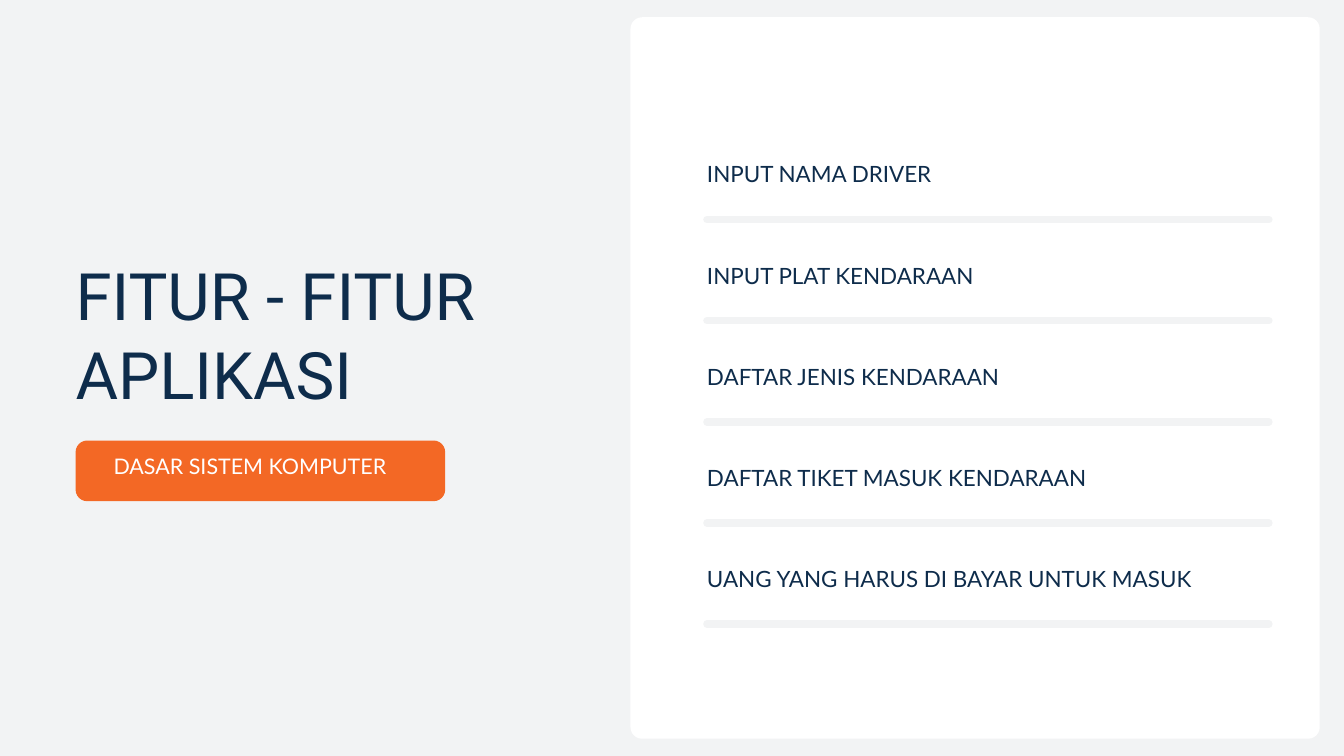
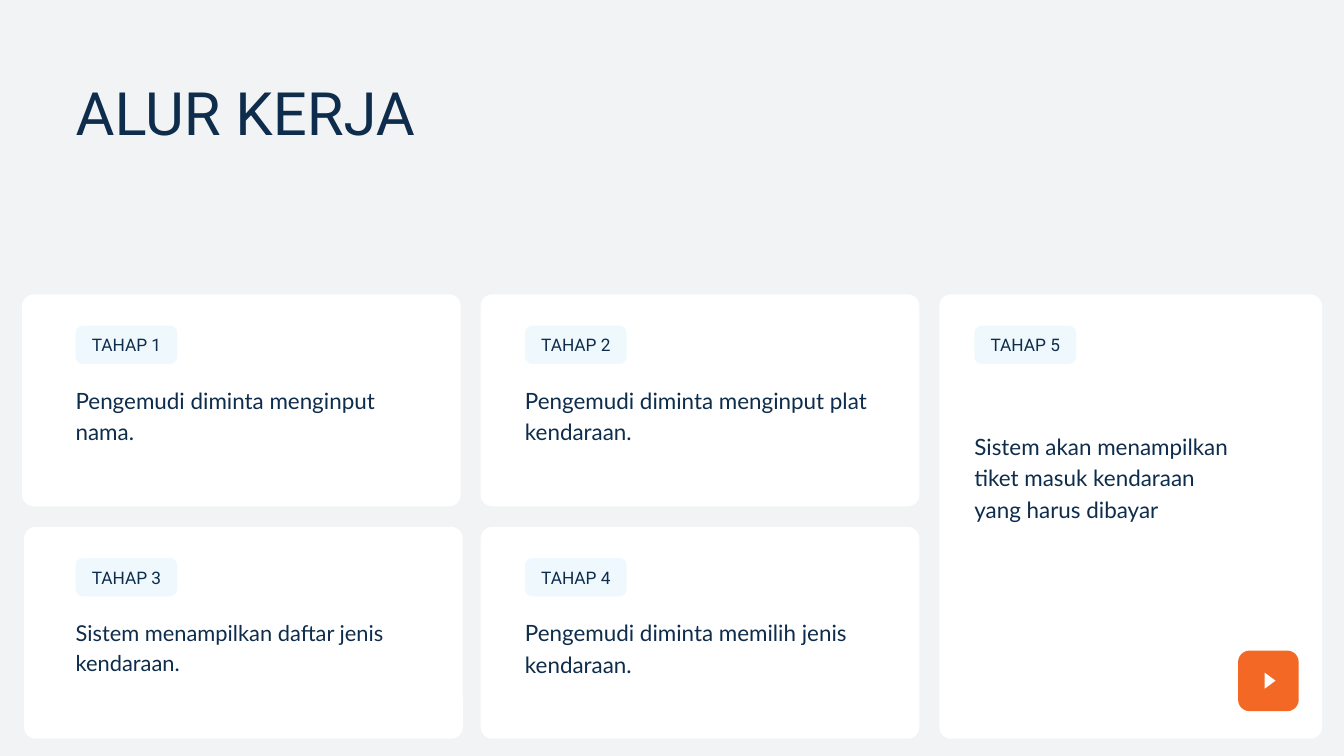
from dataclasses import dataclass

from lxml.etree import SubElement
from pptx import Presentation
from pptx.dml.color import RGBColor as Rgb
from pptx.enum.shapes import MSO_CONNECTOR as Link, MSO_SHAPE as Form
from pptx.enum.text import MSO_ANCHOR as Anchor, MSO_AUTO_SIZE as Fit, PP_ALIGN as Align
from pptx.oxml.ns import qn
from pptx.presentation import Presentation as Deck
from pptx.shapes.autoshape import Shape
from pptx.slide import Slide
from pptx.text.text import TextFrame as Frame
from pptx.util import Pt


@dataclass(frozen=True)
class Theme:
    paper: str = "F2F3F4"
    white: str = "FFFFFF"
    navy: str = "0E2C4B"
    orange: str = "F36825"
    ice: str = "EFF9FD"
    head: str = "Roboto"
    body: str = "Lato"
    cover: float = 70
    title: float = 64
    text: float = 24
    small: float = 23.4
    badge: float = 23
    label: float = 18.5
    tight: float = 1.2
    loose: float = 1.4
    bend: float = 12.4
    nook: float = 7.6


THEME = Theme()


@dataclass(frozen=True)
class Box:
    left: float
    top: float
    width: float
    height: float


@dataclass(frozen=True)
class Type:
    font: str
    size: float
    lead: float
    color: str = THEME.navy
    align: Align = Align.LEFT


@dataclass(frozen=True)
class Stage:
    card: Box
    left: float
    text: str
    drop: float = 60.8
    width: float = 376
    size: float = THEME.text


COVER = Type(THEME.head, THEME.cover, THEME.tight)
TITLE = Type(THEME.head, THEME.title, THEME.tight)
BADGE = Type(THEME.body, THEME.badge, THEME.tight, THEME.white)
LABEL = Type(THEME.head, THEME.label, THEME.loose, align=Align.CENTER)
BODY = Type(THEME.body, THEME.text, THEME.loose)

LEFT = 81
TOP, LOW = 315.5, 564.5
CARD_W, CARD_H = 470, 227
MID, LAST = 515, 1006.5

ITEMS = (
    "INPUT NAMA DRIVER",
    "INPUT PLAT KENDARAAN",
    "DAFTAR JENIS KENDARAAN",
    "DAFTAR TIKET MASUK KENDARAAN",
    "UANG YANG HARUS DI BAYAR UNTUK MASUK",
)

STAGES = (
    Stage(Box(23.6, TOP, CARD_W, CARD_H), LEFT, "Pengemudi diminta menginput nama."),
    Stage(Box(MID, TOP, CARD_W, CARD_H), 562.5,
          "Pengemudi diminta menginput plat kendaraan."),
    Stage(Box(25.8, LOW, CARD_W, CARD_H), LEFT,
          "Sistem menampilkan daftar jenis kendaraan.", size=THEME.small),
    Stage(Box(MID, LOW, CARD_W, CARD_H), 562.5,
          "Pengemudi diminta memilih jenis kendaraan."),
    Stage(Box(LAST, TOP, 410, LOW - TOP + CARD_H), 1044,
          "Sistem akan menampilkan tiket masuk kendaraan yang harus dibayar",
          drop=110.3, width=282),
)


def fill_text(frame: Frame, lines: tuple[str, ...], kind: Type) -> None:
    frame.word_wrap = True
    frame.auto_size = Fit.NONE
    frame.vertical_anchor = Anchor.TOP
    frame.margin_left = frame.margin_right = Pt(0)
    frame.margin_top = frame.margin_bottom = Pt(0)
    for i, line in enumerate(lines):
        para = frame.add_paragraph() if i else frame.paragraphs[0]
        para.alignment = kind.align
        para.line_spacing = Pt(kind.size * kind.lead)
        run = para.add_run()
        run.text = line
        run.font.name = kind.font
        run.font.size = Pt(kind.size)
        run.font.color.rgb = Rgb.from_string(kind.color)


def add_text(slide: Slide, box: Box, text: str, kind: Type) -> None:
    shape = slide.shapes.add_textbox(
        Pt(box.left), Pt(box.top), Pt(box.width), Pt(box.height))
    fill_text(shape.text_frame, (text,), kind)


def add_form(slide: Slide, form: Form, box: Box, color: str) -> Shape:
    shape = slide.shapes.add_shape(
        form, Pt(box.left), Pt(box.top), Pt(box.width), Pt(box.height))
    shape.shadow.inherit = False
    shape.fill.solid()
    shape.fill.fore_color.rgb = Rgb.from_string(color)
    shape.line.fill.background()
    return shape


def add_panel(slide: Slide, box: Box, color: str, bend: float = THEME.bend) -> None:
    shape = add_form(slide, Form.ROUNDED_RECTANGLE, box, color)
    shape.adjustments[0] = bend / min(box.width, box.height)


def add_rule(slide: Slide, left: float, right: float, top: float) -> None:
    rule = slide.shapes.add_connector(
        Link.STRAIGHT, Pt(left), Pt(top), Pt(right), Pt(top))
    rule.line.width = Pt(8)
    rule.line.color.rgb = Rgb.from_string(THEME.paper)
    props = rule._element.spPr
    props.find(qn("a:ln")).set("cap", "rnd")
    SubElement(props, qn("a:effectLst"))


def add_slide(deck: Deck, box: Box, lines: tuple[str, ...], kind: Type) -> Slide:
    slide = deck.slides.add_slide(deck.slide_layouts.get_by_name("Title Only"))
    title = slide.shapes.title
    title.left, title.top = Pt(box.left), Pt(box.top)
    title.width, title.height = Pt(box.width), Pt(box.height)
    fill_text(title.text_frame, lines, kind)
    return slide


def add_stage(slide: Slide, num: int, stage: Stage) -> None:
    add_panel(slide, stage.card, THEME.white)
    top = stage.card.top + 33.5
    add_panel(slide, Box(stage.left, top, 109, 41), THEME.ice, THEME.nook)
    add_text(slide, Box(stage.left + 12, top + 5.6, 85, 25), f"TAHAP {num}", LABEL)
    add_text(slide, Box(stage.left, top + stage.drop, stage.width, 65), stage.text,
             Type(BODY.font, stage.size, BODY.lead))


def draw_list(deck: Deck) -> None:
    slide = add_slide(deck, Box(LEFT, 273.6, 486, 166), ("FITUR - FITUR", "APLIKASI"), COVER)
    add_panel(slide, Box(675.5, 18.5, 738.5, 773), THEME.white)
    for i, item in enumerate(ITEMS):
        shift = i * 108.36
        add_rule(slide, 757.5, 1359.5, 235.3 + shift)
        add_text(slide, Box(757.5, 167.2 + shift, 540, 31), item, BODY)
    add_panel(slide, Box(LEFT, 472, 396, 65), THEME.orange)
    add_text(slide, Box(121.7, 485.3, 330, 27), "DASAR SISTEM KOMPUTER", BADGE)


def draw_flow(deck: Deck) -> None:
    slide = add_slide(deck, Box(LEFT, 81, 904, 76), ("ALUR KERJA",), TITLE)
    for num, stage in enumerate(STAGES, 1):
        add_stage(slide, num, stage)
    add_panel(slide, Box(1326.5, 697, 65, 65), THEME.orange)
    arrow = add_form(slide, Form.ISOSCELES_TRIANGLE, Box(1352.2, 723.5, 17.2, 11.6), THEME.white)
    arrow.rotation = 90


def main() -> None:
    deck = Presentation()
    deck.slide_width, deck.slide_height = Pt(1440), Pt(810)
    back = deck.slide_master.background.fill
    back.solid()
    back.fore_color.rgb = Rgb.from_string(THEME.paper)
    draw_list(deck)
    draw_flow(deck)
    deck.save("out.pptx")


if __name__ == "__main__":
    main()
